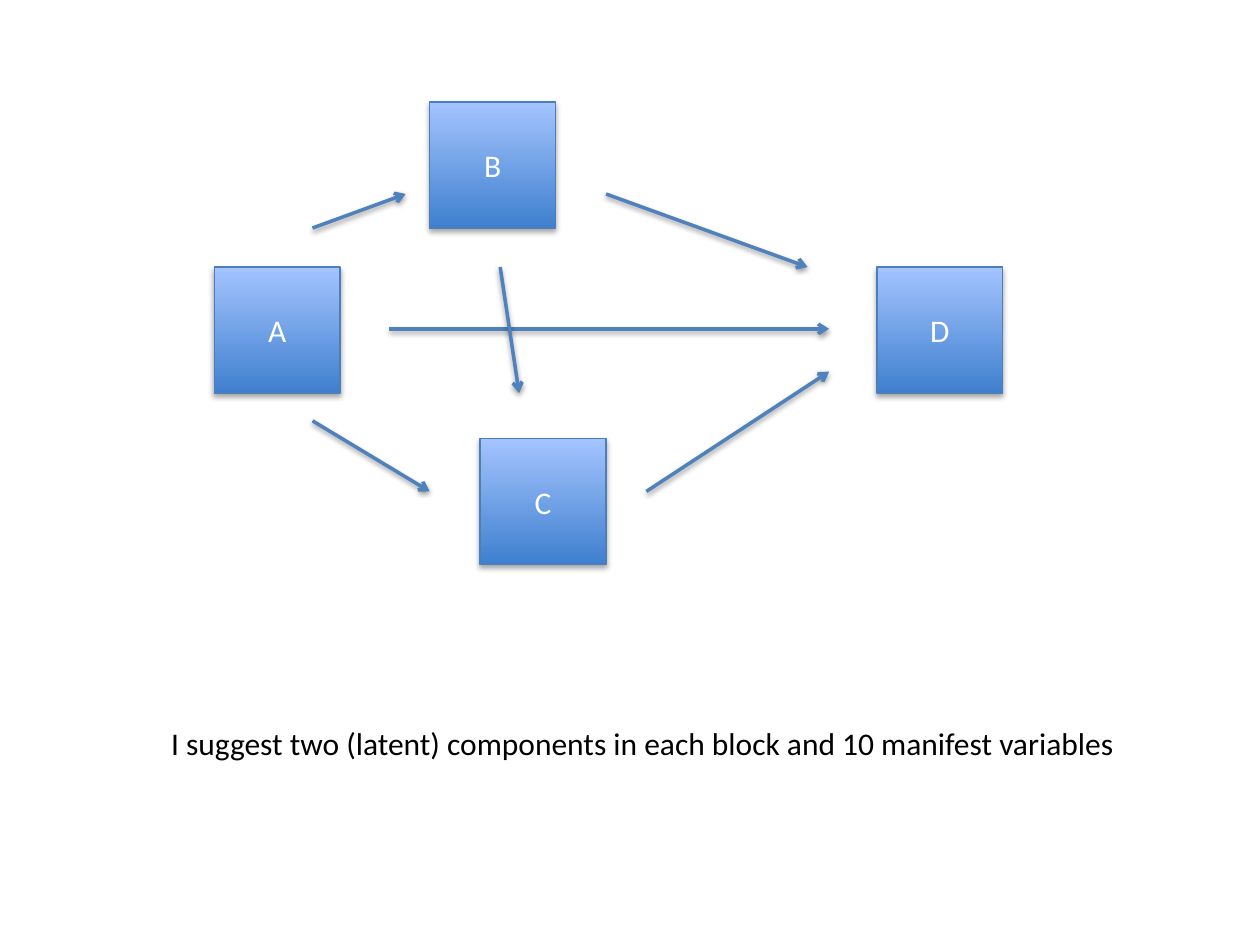
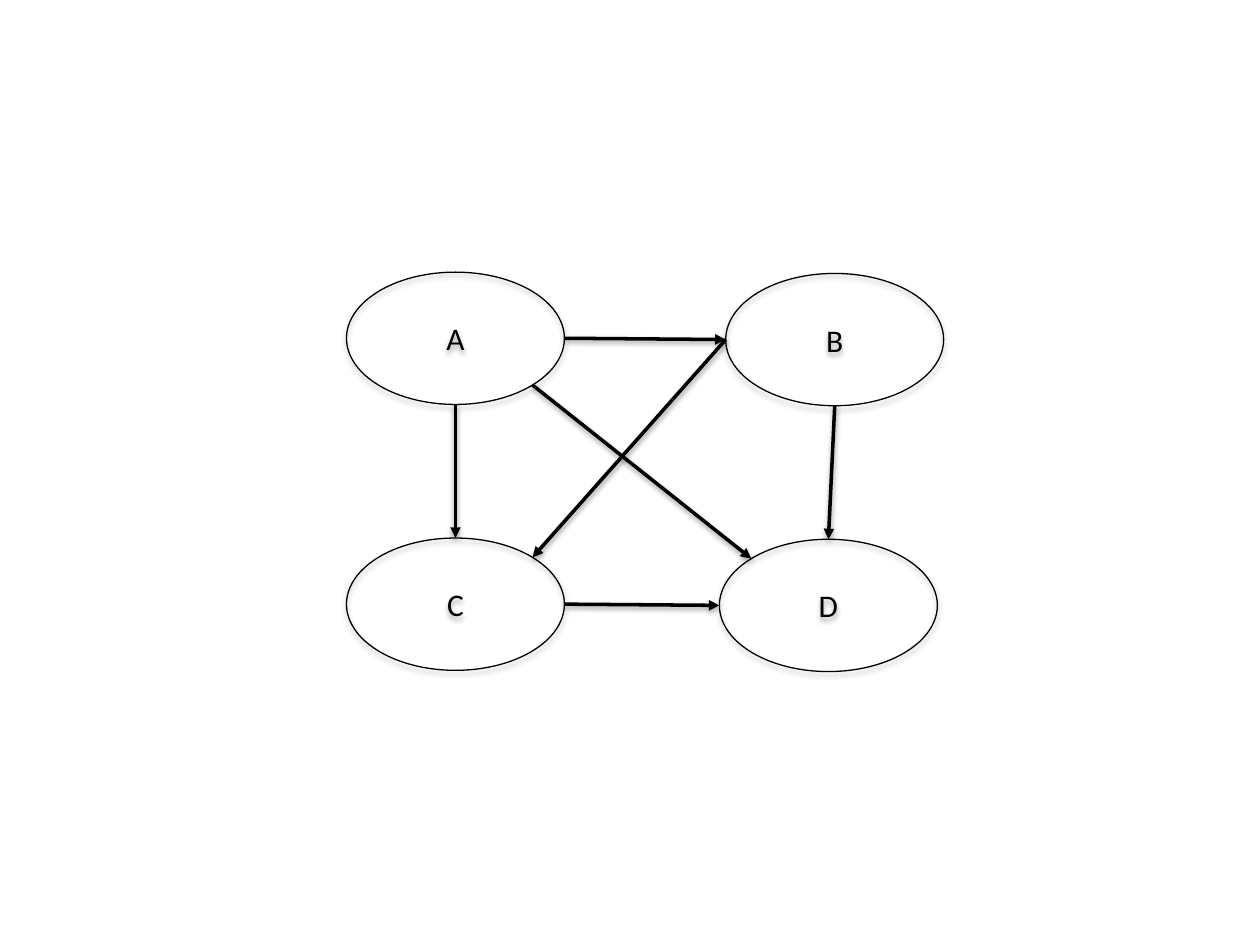
import math
import lxml.etree
import pptx
import pptx.dml.color
import pptx.enum.shapes
import pptx.enum.text
import pptx.oxml.ns
import pptx.util

COLORS = {"top": "A4C4FF", "bottom": "3F80CE", "edge": "4B7EBC",
          "arrow": "4F81BD", "white": "FFFFFF", "black": "000000"}
FONT = "Calibri"
SHAPES = pptx.enum.shapes.MSO_SHAPE

prs = pptx.Presentation()
prs.slide_width = pptx.util.Inches(10)
prs.slide_height = pptx.util.Inches(7.5)
UNIT = prs.slide_width / 100  # the grid has 100 columns and 75 rows


def grid(*values):
    return [pptx.util.Emu(round(v * UNIT)) for v in values]


def rgb(name):
    return pptx.dml.color.RGBColor.from_string(COLORS[name])


def child(parent, tag, **attrs):
    return lxml.etree.SubElement(parent, pptx.oxml.ns.qn(tag), attrs)


def add_shadow(s, distance, opacity):
    """Soft shadow straight below; call it after the line is set."""
    effects = child(s._element.spPr, "a:effectLst")
    outer = child(effects, "a:outerShdw", blurRad="40000", dist=str(distance),
                  dir="5400000", rotWithShape="0")
    color = child(outer, "a:srgbClr", val=COLORS["black"])
    child(color, "a:alpha", val=str(opacity * 1000))


def format_text(tf, text, color):
    tf.text = text
    font = tf.paragraphs[0].runs[0].font
    font.name, font.size = FONT, pptx.util.Pt(18)
    font.color.rgb = rgb(color)


def add_node(slide, kind, box, text, line, text_color, gradient=None):
    s = slide.shapes.add_shape(kind, *grid(*box))
    if gradient:
        s.fill.gradient()
        s.fill.gradient_angle = 90
        for stop, name in zip(s.fill.gradient_stops, gradient):
            stop.color.rgb = rgb(name)
    else:
        s.fill.background()
    s.line.color.rgb = rgb(line)
    s.line.width = pptx.util.Pt(0.75)
    add_shadow(s, 23000, 35)
    tf = s.text_frame
    format_text(tf, text, text_color)
    tf.vertical_anchor = pptx.enum.text.MSO_ANCHOR.MIDDLE
    tf.paragraphs[0].alignment = pptx.enum.text.PP_ALIGN.CENTER


def add_arrow(slide, start, end, color, head):
    c = slide.shapes.add_connector(
        pptx.enum.shapes.MSO_CONNECTOR.STRAIGHT, *grid(*start, *end))
    c.line.color.rgb = rgb(color)
    c.line.width = pptx.util.Pt(2)
    child(c.line._get_or_add_ln(), "a:tailEnd", type=head)
    add_shadow(c, 20000, 38)


def block_diagram(slide, left, top):
    """Square blocks with free-standing arrows between them."""
    side = 10
    blocks = {"A": (0, 13.1), "C": (21.1, 26.7), "B": (17.1, 0), "D": (52.6, 13.1)}
    arrows = [
        ((13.9, 18), (48.8, 18)),        # A to D
        ((34.3, 30.9), (48.8, 21.4)),    # C to D
        ((31.1, 7.3), (47.1, 13.1)),     # B to D
        ((22.7, 13.1), (24.2, 23.1)),    # B to C
        ((7.8, 25.3), (17.1, 30.9)),     # A to C
        ((7.8, 10), (15.2, 7.3)),        # A to B
    ]
    for name, (x, y) in blocks.items():
        add_node(slide, SHAPES.RECTANGLE, (left + x, top + y, side, side), name,
                 "edge", "white", ("bottom", "top"))
    for ends in arrows:
        start, end = [(left + x, top + y) for x, y in ends]
        add_arrow(slide, start, end, "arrow", "arrow")


def caption(slide, box, text):
    tf = slide.shapes.add_textbox(*grid(*box)).text_frame
    tf.word_wrap = True
    format_text(tf, text, "black")


def ellipse_diagram(slide, left, top):
    """Ellipses joined from rim to rim; angles run clockwise from the right."""
    w, h = 17.3, 10.5
    ellipses = {"A": (0, 0), "C": (0, 21.1), "D": (29.6, 21.2), "B": (30.1, 0.1)}
    links = [("A", 90, "C", 270), ("A", 0, "B", 180), ("B", 180, "C", 315),
             ("A", 45, "D", 225), ("B", 90, "D", 270), ("C", 0, "D", 180)]

    def rim(name, degrees):
        x, y = ellipses[name]
        a = math.radians(degrees)
        return (left + x + w / 2 * (1 + math.cos(a)),
                top + y + h / 2 * (1 + math.sin(a)))

    for name, (x, y) in ellipses.items():
        add_node(slide, SHAPES.OVAL, (left + x, top + y, w, h), name,
                 "black", "black")
    for source, out_angle, target, in_angle in links:
        add_arrow(slide, rim(source, out_angle), rim(target, in_angle),
                  "black", "triangle")


blank = prs.slide_layouts[6]

# Slide 1: blocks and caption
slide = prs.slides.add_slide(blank)
block_diagram(slide, 17, 8.1)
caption(slide, (12.6, 57, 77.3, 4),
        "I suggest two (latent) components in each block and 10 manifest variables")

# Slide 2: ellipses
slide = prs.slides.add_slide(blank)
ellipse_diagram(slide, 27.5, 21.6)

prs.save("out.pptx")
